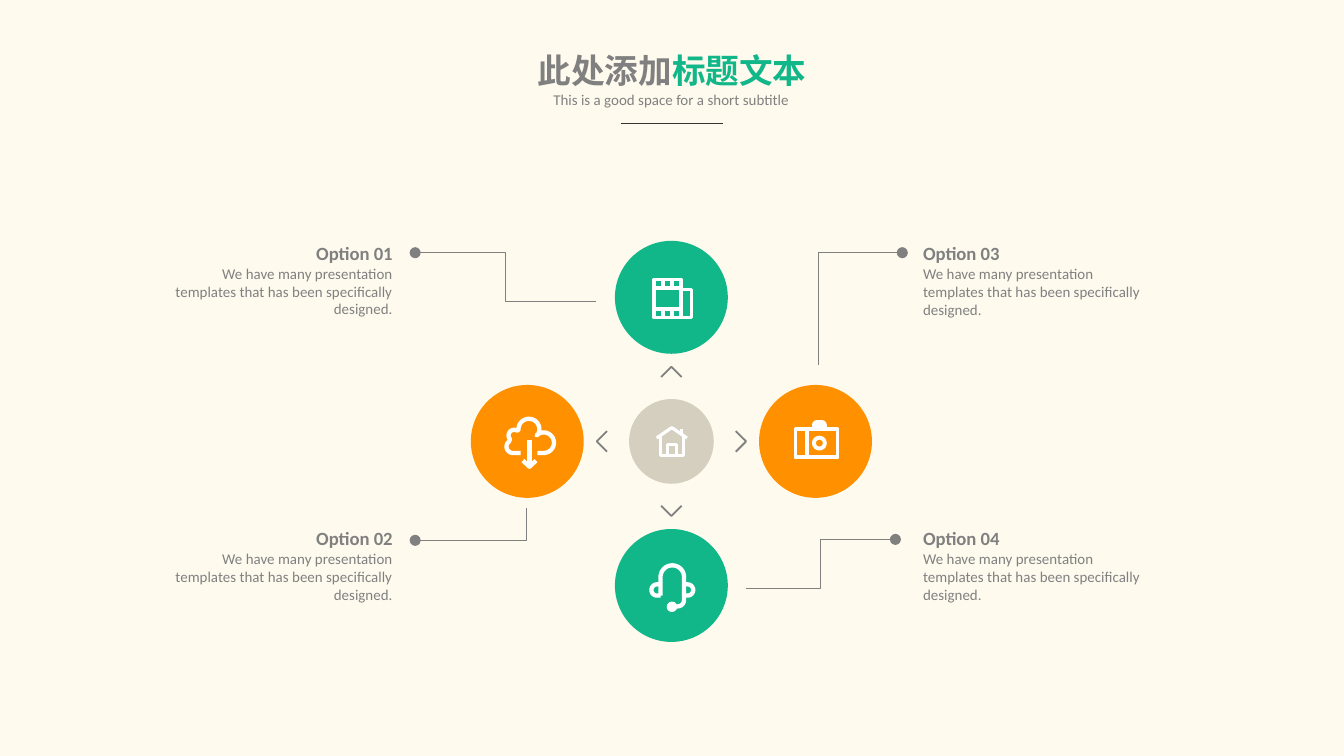
from math import cos, radians, sin

from lxml import etree
from pptx import Presentation
from pptx.dml.color import RGBColor
from pptx.enum.shapes import MSO_CONNECTOR, MSO_SHAPE
from pptx.enum.text import MSO_ANCHOR, MSO_AUTO_SIZE, PP_ALIGN
from pptx.oxml.ns import qn
from pptx.util import Pt

OVAL, CAP = MSO_SHAPE.OVAL, MSO_SHAPE.ROUND_2_SAME_RECTANGLE
LINE = MSO_CONNECTOR.STRAIGHT
LEFT, MID, RIGHT = PP_ALIGN.LEFT, PP_ALIGN.CENTER, PP_ALIGN.RIGHT
CENTRE = MSO_ANCHOR.MIDDLE
FIXED = MSO_AUTO_SIZE.NONE
GREEN, ORANGE, GREY, WHITE = "12B789", "FF9101", "808080", "FFFFFF"

deck = Presentation()
deck.slide_width, deck.slide_height = Pt(720), Pt(405)
slide = deck.slides.add_slide(deck.slide_layouts[0])
slide.background.fill.solid()
slide.background.fill.fore_color.rgb = RGBColor.from_string("FEFAEE")
shapes = slide.shapes


def write(para, text, size=8, color=GREY, bold=False, align=MID):
    para.alignment = align
    para.space_before = Pt(0)
    run = para.add_run()
    run.text = text
    run.font.name = "Calibri"
    run.font.size = Pt(size)
    run.font.bold = bold
    run.font.color.rgb = RGBColor.from_string(color)


def draw(x, y, strokes, color=GREY, width=0.5):
    """Draw strokes around (x, y); a step is a point or an arc (x, y, r, from, to)."""
    build = None
    for stroke in strokes:
        dots = []
        for step in stroke:
            if len(step) == 2:
                dots.append(step)
                continue
            cx, cy, r, start, end = step
            for i in range(25):
                turn = radians(start + (end - start) * i / 24)
                dots.append((cx + r * cos(turn), cy + r * sin(turn)))
        dots = [(Pt(x + dx), Pt(y + dy)) for dx, dy in dots]
        if build is None:
            build = shapes.build_freeform(*dots[0])
        else:
            build.move_to(*dots[0])
        build.add_line_segments(dots[1:], close=dots[0] == dots[-1])
    shape = build.convert_to_shape()
    shape.shadow.inherit = False
    shape.fill.background()
    shape.line.color.rgb = RGBColor.from_string(color)
    shape.line.width = Pt(width)
    return shape


# Heading
title, sub = slide.placeholders
for box, x, y, w, h in ((title, 279.4, 23, 161.3, 28.8), (sub, 288.7, 44.6, 141.8, 17.3)):
    box.left, box.top, box.width, box.height = Pt(x), Pt(y), Pt(w), Pt(h)
    frame = box.text_frame
    frame.word_wrap = False
    frame.auto_size = FIXED
    frame.vertical_anchor = CENTRE
head = title.text_frame.paragraphs[0]
write(head, "此处添加", size=18, bold=True)
write(head, "标题文本", size=18, color=GREEN, bold=True)
write(sub.text_frame.paragraphs[0], "This is a good space for a short subtitle")
rule = shapes.add_connector(LINE, Pt(332.6), Pt(66.2), Pt(387.4), Pt(66.2))
rule.line.color.rgb = RGBColor.from_string("333333")
rule.line.width = Pt(0.5)
etree.SubElement(rule._element.spPr, qn("a:effectLst"))

# Hub, four spokes and the chevrons between them
hub_x, hub_y, reach = 359.7, 236.5, 77.2
top, low = (hub_x, hub_y - reach), (hub_x, hub_y + reach)
west, east = (hub_x - reach, hub_y), (hub_x + reach, hub_y)
discs = [(top, 60.5, GREEN), (low, 60.5, GREEN), (west, 60.5, ORANGE),
         (east, 60.5, ORANGE), ((hub_x, hub_y), 45.4, "2E2403")]
for (x, y), size, color in discs:
    disc = shapes.add_shape(OVAL, Pt(x - size / 2), Pt(y - size / 2), Pt(size), Pt(size))
    disc.shadow.inherit = False
    disc.fill.solid()
    disc.fill.fore_color.rgb = RGBColor.from_string(color)
    disc.line.fill.background()
tint = disc._element.spPr.find(".//" + qn("a:srgbClr"))
etree.SubElement(tint, qn("a:alpha")).set("val", "20000")

tip, base, wing = 40, 34.5, 5.5
for dx, dy in ((1, 0), (-1, 0), (0, 1), (0, -1)):
    draw(hub_x, hub_y, [[(base * dx + wing * dy, base * dy + wing * dx),
                         (tip * dx, tip * dy),
                         (base * dx - wing * dy, base * dy - wing * dx)]], width=1)

# Leaders, each ending in a dot beside its option
leaders = [
    [(319.2, 161.6), (270.8, 161.6), (270.8, 135.4), (222.4, 135.4)],
    [(282, 272.2), (282, 289.5), (222.4, 289.5)],
    [(438.5, 195.6), (438.5, 135.4), (483.4, 135.4)],
    [(399.7, 315.2), (439.6, 315.2), (439.6, 289), (479.7, 289)],
]
for leader in leaders:
    line = draw(0, 0, [leader]).line
    etree.SubElement(line._get_or_add_ln(), qn("a:tailEnd")).set("type", "oval")

# Options
note = "We have many presentation templates that has been specifically designed."
options = [("Option 01", 91.5, 129.6, RIGHT), ("Option 02", 91.5, 282.4, RIGHT),
           ("Option 03", 494.5, 129.8, LEFT), ("Option 04", 494.5, 282.4, LEFT)]
for name, x, y, side in options:
    frame = shapes.add_textbox(Pt(x), Pt(y), Pt(118.8), Pt(41)).text_frame
    frame.word_wrap = True
    frame.margin_left = frame.margin_top = frame.margin_right = frame.margin_bottom = 0
    write(frame.paragraphs[0], name, size=10, bold=True, align=side)
    write(frame.add_paragraph(), note, align=side)

# Icons
film = [
    [(-9.3, -9.5), (5.1, -9.5), (5.1, 10.8), (-9.3, 10.8), (-9.3, -9.5)],
    [(5.1, -4.2), (10.8, -4.2), (10.8, 10.8), (5.1, 10.8)],
]
for start, end in ((-9.5, -5), (6.3, 10.8)):
    inner = -5 if start < 0 else 6.3
    film.append([(-9.3, inner), (5.1, inner)])
    film += [[(x, start), (x, end)] for x in (-4.5, 0.3)]
cloud = [
    [(-3.5, 6.2), (-7.7, 2.8, 3.4, 90, 235), (-7, -3.2, 3, 140, 300),
     (0.9, -6.5, 5.6, 175, 390), (8.8, 0.7, 5.5, 225, 450), (5.5, 6.2)],
    [(1.2, -1), (1.2, 13.6)],
    [(-2.3, 10.3), (1.2, 13.6), (4.7, 10.3)],
]
headset = [
    [(-5.8, 5.4), (0.5, -4.5, 6.3, 180, 360), (3.3, 7.7, 3.5, 0, 90), (0.3, 11.2)],
    [(-5.8, 5.4), (-7.7, 2.4, 3, 90, 270), (-5.8, -0.6)],
    [(6.8, -0.6), (8.7, 2.4, 3, -90, 90), (6.8, 5.4)],
]
camera = [
    [(-10.7, -6.5), (11.8, -6.5), (11.8, 8.5), (-10.7, 8.5), (-10.7, -6.5)],
    [(-4.6, -6.5), (-4.6, 8.5)],
    [(2.1, 0.9, 2.9, 0, 360)],
]
house = [
    [(-7.9, -1.8), (0.2, -7.4), (8.3, -1.8)],
    [(-5.9, -3), (-5.9, 7.5), (6.3, 7.5), (6.3, -3)],
    [(-2.2, 7.5), (-2.2, 1.7), (2.6, 1.7), (2.6, 7.5)],
    [(5.3, -3.8), (5.3, -6.5)],
]
for spot, icon, width in ((top, film, 2), (west, cloud, 2.3), (low, headset, 2.3),
                          (east, camera, 2.1), ((hub_x, hub_y), house, 1.7)):
    draw(*spot, icon, color=WHITE, width=width)
for kind, (x, y), dx, dy, w, h in ((OVAL, low, -2.5, 8.6, 5.6, 5.6),
                                   (CAP, east, -1.9, -11.4, 7.9, 5)):
    part = shapes.add_shape(kind, Pt(x + dx), Pt(y + dy), Pt(w), Pt(h))
    part.shadow.inherit = False
    part.fill.solid()
    part.fill.fore_color.rgb = RGBColor.from_string(WHITE)
    part.line.fill.background()
part.adjustments[0] = 0.5

deck.save("out.pptx")
